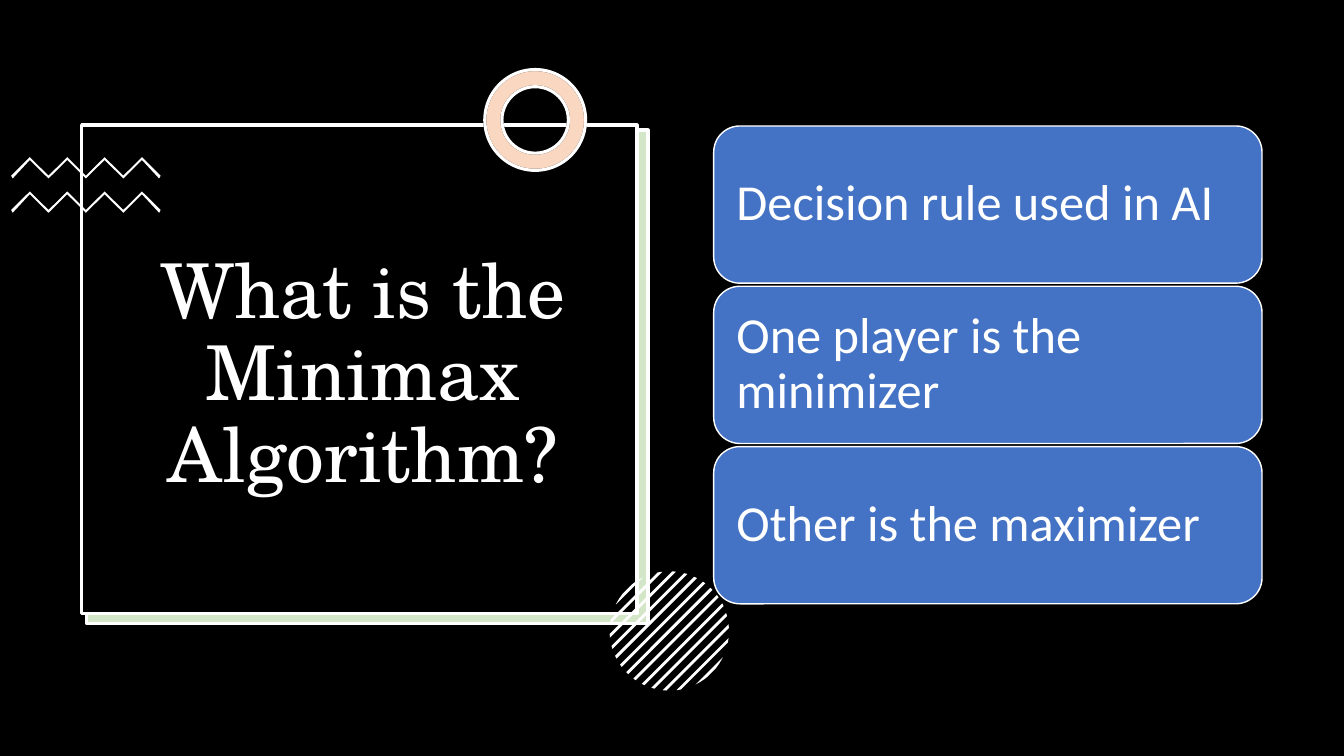
from math import acos, cos, pi, sin

from lxml import etree
from pptx import Presentation
from pptx.dml.color import RGBColor
from pptx.enum.shapes import MSO_SHAPE
from pptx.enum.text import MSO_ANCHOR, MSO_AUTO_SIZE, PP_ALIGN
from pptx.oxml.ns import qn
from pptx.util import Pt

RECT = MSO_SHAPE.RECTANGLE
ROUND = MSO_SHAPE.ROUNDED_RECTANGLE
DONUT = MSO_SHAPE.DONUT
MIDDLE = MSO_ANCHOR.MIDDLE
FIXED = MSO_AUTO_SIZE.NONE
LEFT = PP_ALIGN.LEFT
CENTER = PP_ALIGN.CENTER

BLACK = RGBColor(0x00, 0x00, 0x00)
WHITE = RGBColor(0xFF, 0xFF, 0xFF)
GREEN = RGBColor(0x70, 0xAD, 0x47)
ORANGE = RGBColor(0xED, 0x7D, 0x31)
BLUE = RGBColor(0x44, 0x72, 0xC4)

WIDTH, HEIGHT = 960, 540
EDGE = 2.25
RING = (346.3, 49.7, 72, 72)
CARDS = ("Decision rule used in AI", "One player is the minimizer",
         "Other is the maximizer")

FRAME = {"word_wrap": True, "auto_size": FIXED, "vertical_anchor": MIDDLE}
INSET = {"margin_left": Pt(10.8), "margin_right": Pt(10.8),
         "margin_top": Pt(10.8), "margin_bottom": Pt(10.8)}
TITLE = {"name": "TeX Gyre Schola", "size": Pt(54), "bold": False}
LABEL = {"name": "Calibri", "size": Pt(36), "bold": False}


def apply(item, values):
    for key, value in values.items():
        setattr(item, key, value)


def paint(shape, fill, line=None, width=EDGE, alpha=None):
    shape.shadow.inherit = False
    shape.fill.solid()
    shape.fill.fore_color.rgb = fill
    if alpha:
        color = shape.element.spPr.find(qn("a:solidFill"))[0]
        etree.SubElement(color, qn("a:alpha"), val=str(alpha * 1000))
    if line is None:
        shape.line.fill.background()
    else:
        shape.line.color.rgb = line
        shape.line.width = Pt(width)


def add_shape(slide, kind, box, fill, **look):
    shape = slide.shapes.add_shape(kind, *map(Pt, box))
    paint(shape, fill, **look)
    return shape


def add_form(slide, points):
    spots = [(Pt(x), Pt(y)) for x, y in points]
    maker = slide.shapes.build_freeform(*spots[0])
    maker.add_line_segments(spots[1:], close=True)
    shape = maker.convert_to_shape()
    paint(shape, WHITE)
    return shape


def add_text(shape, text, font, align, **frame):
    box = shape.text_frame
    apply(box, FRAME | frame)
    box.text = text
    para = box.paragraphs[0]
    apply(para, {"alignment": align, "line_spacing": 0.9})
    apply(para.runs[0].font, font)
    para.runs[0].font.color.rgb = WHITE


def add_wave(slide, top):
    left, step, count, trim = 8, 13.35, 9, 1.1
    right = left + step * (count - 1)
    upper = [(left + step * i, top + (0 if i % 2 else 13.2))
             for i in range(count)]
    lower = [(min(max(x, left + trim), right - trim), y + 2)
             for x, y in reversed(upper)]
    return add_form(slide, upper + lower)


def add_stripe(slide, index):
    mid_x, mid_y, radius, gap, half, steps = 478.1, 450.7, 42.6, 6.89, 1.02, 6
    low = max(index * gap - half, -radius)
    high = min(index * gap + half, radius)
    turns = [acos((low + (high - low) * i / steps) / radius)
             for i in range(steps + 1)]
    angles = [pi / 4 + t for t in turns]
    angles += [pi / 4 - t for t in reversed(turns)]
    return add_form(slide, [(mid_x + radius * cos(a), mid_y + radius * sin(a))
                            for a in angles])


def add_ring(slide, fill, **look):
    ring = add_shape(slide, DONUT, RING, fill, **look)
    ring.adjustments[0] = 0.17


def add_card(slide, index, text):
    box = (509.8, 90 + 114.5 * index, 391.7, 112.3)
    card = add_shape(slide, ROUND, box, BLUE, line=WHITE, width=1)
    add_text(card, text, LABEL, LEFT, **INSET)


def add_title(slide, text):
    title = slide.shapes.title
    apply(title, {"left": Pt(66.2), "top": Pt(109.4),
                  "width": Pt(386), "height": Pt(318.2)})
    add_text(title, text, TITLE, CENTER)
    slide.shapes.element.append(title.element)


def main():
    deck = Presentation()
    apply(deck, {"slide_width": Pt(WIDTH), "slide_height": Pt(HEIGHT)})
    slide = deck.slides.add_slide(deck.slide_layouts[5])

    add_shape(slide, RECT, (0, 0, WIDTH, HEIGHT), BLACK)
    add_shape(slide, RECT, (61.2, 93.6, 401, 352.8), WHITE)
    add_shape(slide, RECT, (61.9, 92.9, 401, 352.8), GREEN,
              line=WHITE, alpha=30)
    add_shape(slide, RECT, (58.3, 89.3, 396.7, 349.2), BLACK, line=WHITE)

    slide.shapes.add_group_shape([add_wave(slide, y) for y in (112.3, 136.8)])
    add_ring(slide, WHITE, line=BLACK)
    add_ring(slide, ORANGE, line=WHITE, alpha=30)
    slide.shapes.add_group_shape([add_stripe(slide, i) for i in range(-6, 7)])

    add_title(slide, "What is the Minimax Algorithm?")
    for index, text in enumerate(CARDS):
        add_card(slide, index, text)
    deck.save("out.pptx")


if __name__ == "__main__":
    main()
